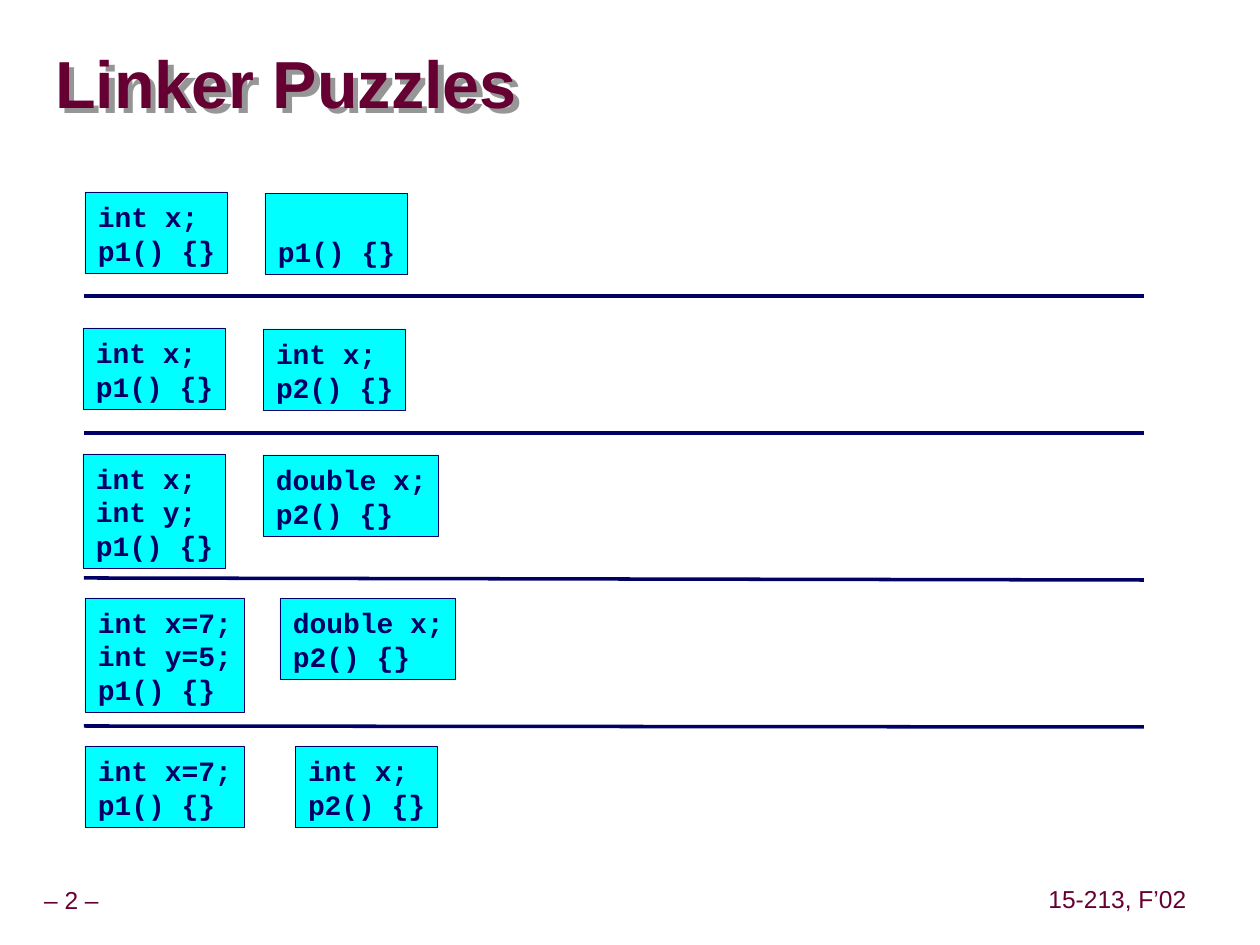
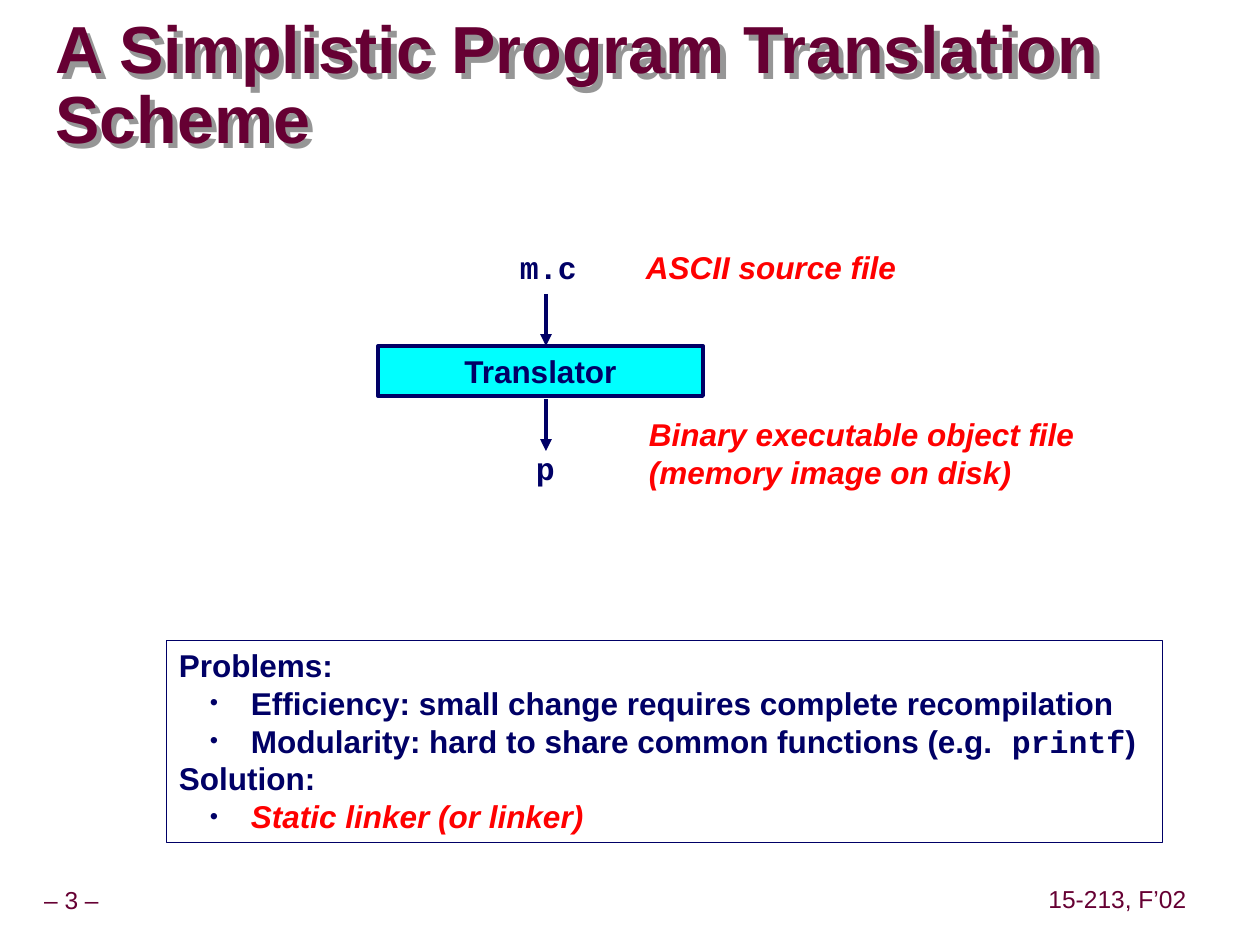
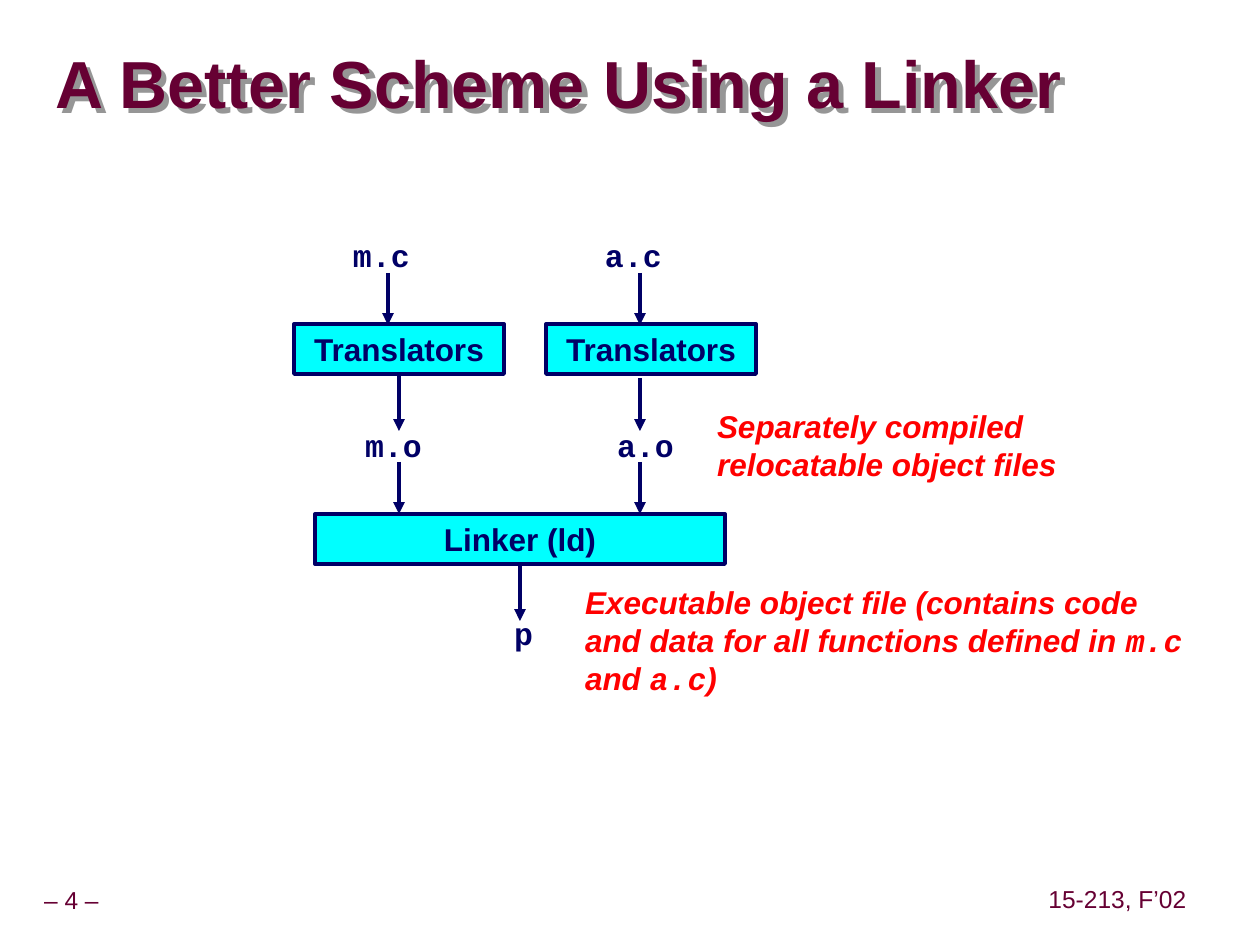
from dataclasses import dataclass

from lxml.etree import SubElement
from pptx import Presentation
from pptx.dml.color import RGBColor
from pptx.enum.shapes import MSO_CONNECTOR as Connector, MSO_SHAPE as Shape
from pptx.enum.text import MSO_ANCHOR as Anchor, MSO_AUTO_SIZE as AutoSize, PP_ALIGN as Align
from pptx.oxml.ns import qn
from pptx.util import Pt

EMU_PER_INCH = 914400
PX_PER_INCH = 126


def px(length: float) -> int:
    """Turn pixels into EMU."""
    return round(length * EMU_PER_INCH / PX_PER_INCH)


@dataclass(frozen=True)
class Theme:
    """Colours, fonts, type sizes and line widths of the deck."""
    maroon: str = "660033"
    navy: str = "000066"
    cyan: str = "00FFFF"
    red: str = "FF0000"
    shadow: str = "969696"
    sans: str = "Arial"
    mono: str = "Courier New"
    title: int = 38
    text: int = 18
    code: int = 16
    footer: int = 14
    hairline: float = 0.25
    divider: float = 2
    outline: float = 2.25


THEME = Theme()


@dataclass(frozen=True)
class Area:
    """A rectangle in pixels."""
    left: int
    top: int
    width: int
    height: int


@dataclass(frozen=True)
class Style:
    """The look of one run of text."""
    size: int = THEME.text
    color: str = THEME.navy
    font: str = THEME.sans
    bold: bool = True
    italic: bool = False


@dataclass(frozen=True)
class Span:
    """A run of text with its style."""
    text: str
    style: Style


@dataclass(frozen=True)
class CodeBox:
    """A source module, sized by its code."""
    left: int
    top: int
    lines: tuple[str, ...]
    rows: int = 2

    @property
    def area(self) -> Area:
        """Derive the size from the longest line and the row count."""
        longest = max(len(line) for line in self.lines)
        return Area(self.left, self.top, 27 + longest * 33 // 2, 15 + self.rows * 33)


@dataclass(frozen=True)
class Stroke:
    """A straight line in pixels."""
    start: tuple[int, int]
    end: tuple[int, int]


TITLE = Style(THEME.title, THEME.maroon)
FOOTER = Style(THEME.footer, THEME.maroon, bold=False)
CODE = Style(THEME.code, font=THEME.mono)
PLAIN = Style()
FILE = Style(font=THEME.mono)
NOTE = Style(color=THEME.red, italic=True)
NOTE_FILE = Style(color=THEME.red, font=THEME.mono, italic=True)

TITLE_AREA = Area(55, 34, 1201, 107)
NUMBER_AREA = Area(-11, 882, 165, 39)
COURSE_AREA = Area(1042, 881, 151, 39)

MODULES = (
    CodeBox(85, 192, ("int x;", "p1() {}")), CodeBox(265, 193, ("p1() {}",)),
    CodeBox(83, 328, ("int x;", "p1() {}")), CodeBox(263, 329, ("int x;", "p2() {}")),
    CodeBox(83, 454, ("int x;", "int y;", "p1() {}"), 3), CodeBox(263, 455, ("double x;", "p2() {}")),
    CodeBox(85, 598, ("int x=7;", "int y=5;", "p1() {}"), 3), CodeBox(280, 598, ("double x;", "p2() {}")),
    CodeBox(85, 746, ("int x=7;", "p1() {}")), CodeBox(295, 746, ("int x;", "p2() {}")),
)
DIVIDERS = ((296, 296), (433, 433), (578, 580), (726, 727))


def place(box, area: Area) -> None:
    """Move and size a shape."""
    box.left, box.top = px(area.left), px(area.top)
    box.width, box.height = px(area.width), px(area.height)


def set_frame(box, inset: tuple[int, int] = (13, 6), wrap: bool = False, anchor=Anchor.TOP):
    """Set the margins, wrapping and anchor of a text frame."""
    frame = box.text_frame
    frame.auto_size, frame.word_wrap, frame.vertical_anchor = AutoSize.NONE, wrap, anchor
    frame.margin_left = frame.margin_right = px(inset[0])
    frame.margin_top = frame.margin_bottom = px(inset[1])
    return frame


def add_span(para, span: Span) -> None:
    """Add one styled run."""
    run = para.add_run()
    run.text = span.text
    font, style = run.font, span.style
    font.name, font.size = style.font, Pt(style.size)
    font.bold, font.italic = style.bold, style.italic
    font.color.rgb = RGBColor.from_string(style.color)


def write(frame, lines: list[list[Span]], align=Align.LEFT, spacing: float = 1) -> list:
    """Write one paragraph per line and return the paragraphs."""
    paras = []
    for index, spans in enumerate(lines):
        para = frame.add_paragraph() if index else frame.paragraphs[0]
        para.alignment, para.line_spacing = align, spacing
        para.space_before = para.space_after = Pt(0)
        for span in spans:
            add_span(para, span)
        paras.append(para)
    return paras


def paint_line(line, width: float) -> None:
    """Give a line the deck's colour and a width."""
    line.color.rgb = RGBColor.from_string(THEME.navy)
    line.width = Pt(width)


def add_box(page, area: Area, width: float):
    """Draw a filled rectangle."""
    box = page.shapes.add_shape(Shape.RECTANGLE, 0, 0, 0, 0)
    place(box, area)
    box.shadow.inherit = False
    box.fill.solid()
    box.fill.fore_color.rgb = RGBColor.from_string(THEME.cyan)
    paint_line(box.line, width)
    return box


def add_code(page, module: CodeBox) -> None:
    """Draw a module with its code resting on the bottom edge."""
    box = add_box(page, module.area, THEME.hairline)
    write(set_frame(box, anchor=Anchor.BOTTOM), [[Span(line, CODE)] for line in module.lines])


def add_stage(page, area: Area, text: str):
    """Draw a tool of the build chain."""
    box = add_box(page, area, THEME.outline)
    write(set_frame(box, wrap=True), [[Span(text, PLAIN)]], Align.CENTER)
    return box


def add_label(page, area: Area, lines: list[list[Span]], wrap: bool = False) -> None:
    """Add free text."""
    box = page.shapes.add_textbox(0, 0, 0, 0)
    place(box, area)
    write(set_frame(box, wrap=wrap), lines)


def add_file(page, left: int, top: int, name: str) -> None:
    """Add a file name, as wide as its letters need."""
    add_label(page, Area(left, top, 25 + 19 * len(name), 50), [[Span(name, FILE)]])


def add_stroke(page, stroke: Stroke, width: float):
    """Draw a straight line without shadow."""
    line = page.shapes.add_connector(Connector.STRAIGHT, *map(px, stroke.start + stroke.end))
    paint_line(line.line, width)
    SubElement(line._element.spPr, qn("a:effectLst"))
    return line


def add_arrow(page, x: int, top: int, bottom: int, source=None) -> None:
    """Draw a downward arrow, joined to the bottom of its source if there is one."""
    arrow = add_stroke(page, Stroke((x, top), (x, bottom)), THEME.outline)
    SubElement(arrow._element.spPr.find(qn("a:ln")), qn("a:tailEnd"), type="triangle")
    if source is not None:
        arrow.begin_connect(source, 2)


def add_title(page, text: str) -> None:
    """Fill the title placeholder and give its text a shadow."""
    title = page.shapes.title
    place(title, TITLE_AREA)
    title.fill.background()
    effects = SubElement(title._element.spPr, qn("a:effectLst"))
    shadow = SubElement(effects, qn("a:outerShdw"), dist=str(px(8)), dir="2700000", algn="ctr", rotWithShape="0")
    SubElement(shadow, qn("a:srgbClr"), val=THEME.shadow)
    frame = set_frame(title, (0, 0), True, Anchor.MIDDLE)
    write(frame, [[Span(text, TITLE)]], spacing=0.87)


def add_page(deck, layout: int, number: int, title: str):
    """Add a page with its title and footers."""
    page = deck.slides.add_slide(deck.slide_layouts[layout])
    add_title(page, title)
    for area, text in ((NUMBER_AREA, f"– {number} –"), (COURSE_AREA, "15-213, F’02")):
        box = page.shapes.add_textbox(0, 0, 0, 0)
        place(box, area)
        frame = set_frame(box, (6, 6), anchor=Anchor.MIDDLE)
        write(frame, [[Span(text, FOOTER)]], Align.CENTER, 0.9)
    return page


def set_bullet(para, bulleted: bool) -> None:
    """Make a paragraph a bulleted item or a flush heading."""
    properties = para._p.get_or_add_pPr()
    properties.set("marL", str(px(72 if bulleted else 0)))
    properties.set("indent", str(px(-41 if bulleted else 0)))
    if bulleted:
        properties.set("lvl", "1")
        color = SubElement(properties, qn("a:buClr"))
        SubElement(color, qn("a:srgbClr"), val=THEME.navy)
        SubElement(properties, qn("a:buSzPct"), val="75000")
        SubElement(properties, qn("a:buFont"), typeface=THEME.sans)
        SubElement(properties, qn("a:buChar"), char="•")
    else:
        SubElement(properties, qn("a:buNone"))


def add_puzzles(deck) -> None:
    """Build the page of linker puzzles."""
    page = add_page(deck, 5, 2, "Linker Puzzles")
    for module in MODULES:
        add_code(page, module)
    for left_y, right_y in DIVIDERS:
        add_stroke(page, Stroke((84, left_y), (1144, right_y)), THEME.divider)


def add_simple_scheme(deck) -> None:
    """Build the page of the single translator."""
    page = add_page(deck, 1, 3, "A Simplistic Program Translation Scheme")
    body = page.placeholders[1]
    place(body, Area(166, 640, 996, 202))
    paint_line(body.line, THEME.hairline)
    paras = write(set_frame(body), [
        [Span("Problems:", PLAIN)],
        [Span("Efficiency: small change requires complete recompilation", PLAIN)],
        [Span("Modularity: hard to share common functions (e.g.", PLAIN), Span(" printf", FILE), Span(")", PLAIN)],
        [Span("Solution:", PLAIN)],
        [Span("Static linker (or linker)", NOTE)],
    ])
    for index, para in enumerate(paras):
        set_bullet(para, index not in (0, 3))
    add_stage(page, Area(378, 346, 325, 50), "Translator")
    for top in (294, 399):
        add_arrow(page, 546, top, top + 52)
    add_file(page, 507, 242, "m.c")
    add_file(page, 523, 443, "p")
    add_label(page, Area(633, 242, 275, 50), [[Span("ASCII source file", NOTE)]])
    add_label(page, Area(636, 409, 450, 88),
              [[Span("Binary executable object file", NOTE)], [Span("(memory image on disk)", NOTE)]])


def add_linker_scheme(deck) -> None:
    """Build the page of separate translators and one linker."""
    page = add_page(deck, 5, 4, "A Better Scheme Using a Linker")
    linker = add_stage(page, Area(315, 514, 410, 50), "Linker (ld)")
    for column, (name, object_x) in enumerate((("m", 399), ("a", 640))):
        shift = 252 * column
        translator = add_stage(page, Area(294 + shift, 324, 210, 50), "Translators")
        add_file(page, 340 + shift, 230, f"{name}.c")
        add_file(page, 352 + shift, 420, f"{name}.o")
        add_arrow(page, 388 + shift, 273, 325)
        add_arrow(page, object_x, 378, 431, None if column else translator)
        add_arrow(page, object_x, 462, 514)
    add_arrow(page, 520, 568, 621, linker)
    add_file(page, 501, 608, "p")
    add_label(page, Area(704, 401, 411, 88),
              [[Span("Separately compiled relocatable object files", NOTE)]], True)
    add_label(page, Area(572, 577, 626, 126), [[
        Span("Executable object file (contains code and data for all functions defined in ", NOTE),
        Span("m.c", NOTE_FILE), Span(" and ", NOTE), Span("a.c", NOTE_FILE), Span(")", NOTE),
    ]], True)


def main() -> None:
    """Build and save the deck."""
    deck = Presentation()
    deck.slide_width, deck.slide_height = px(1260), px(945)
    add_puzzles(deck)
    add_simple_scheme(deck)
    add_linker_scheme(deck)
    deck.save("out.pptx")


if __name__ == "__main__":
    main()
